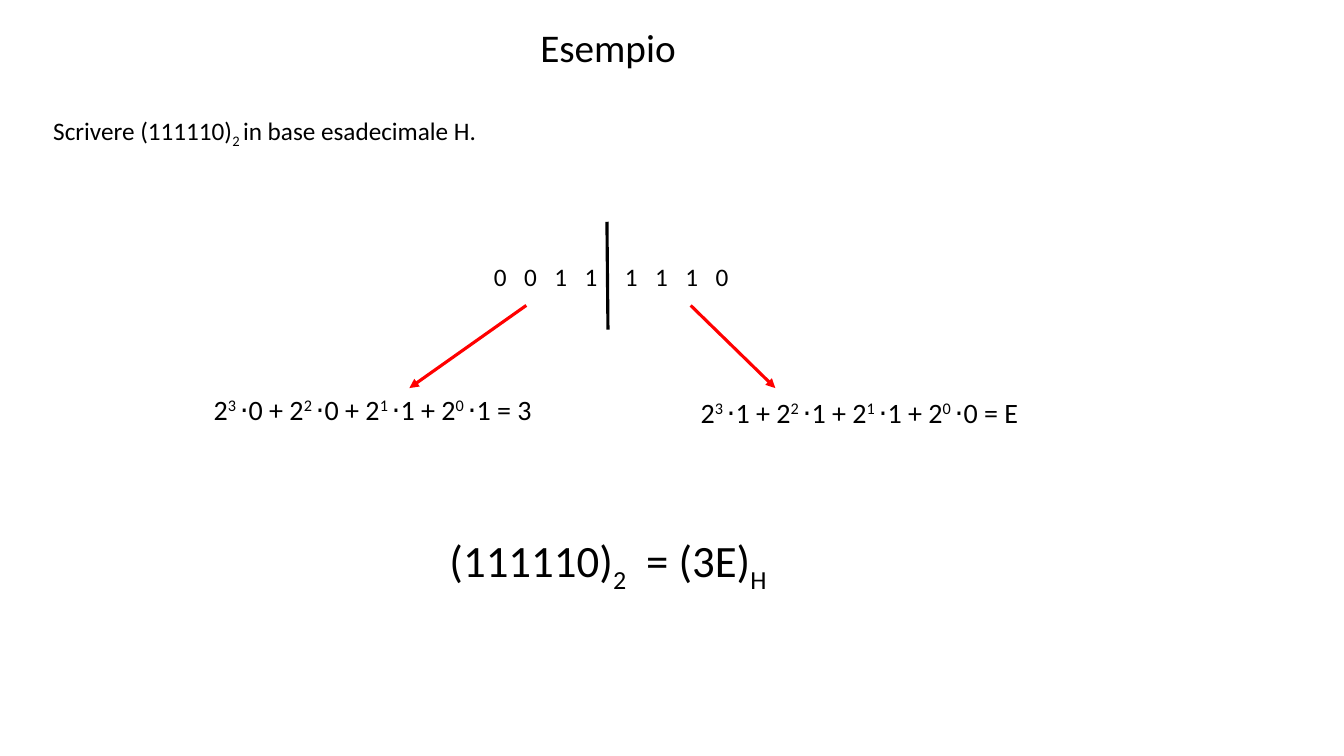
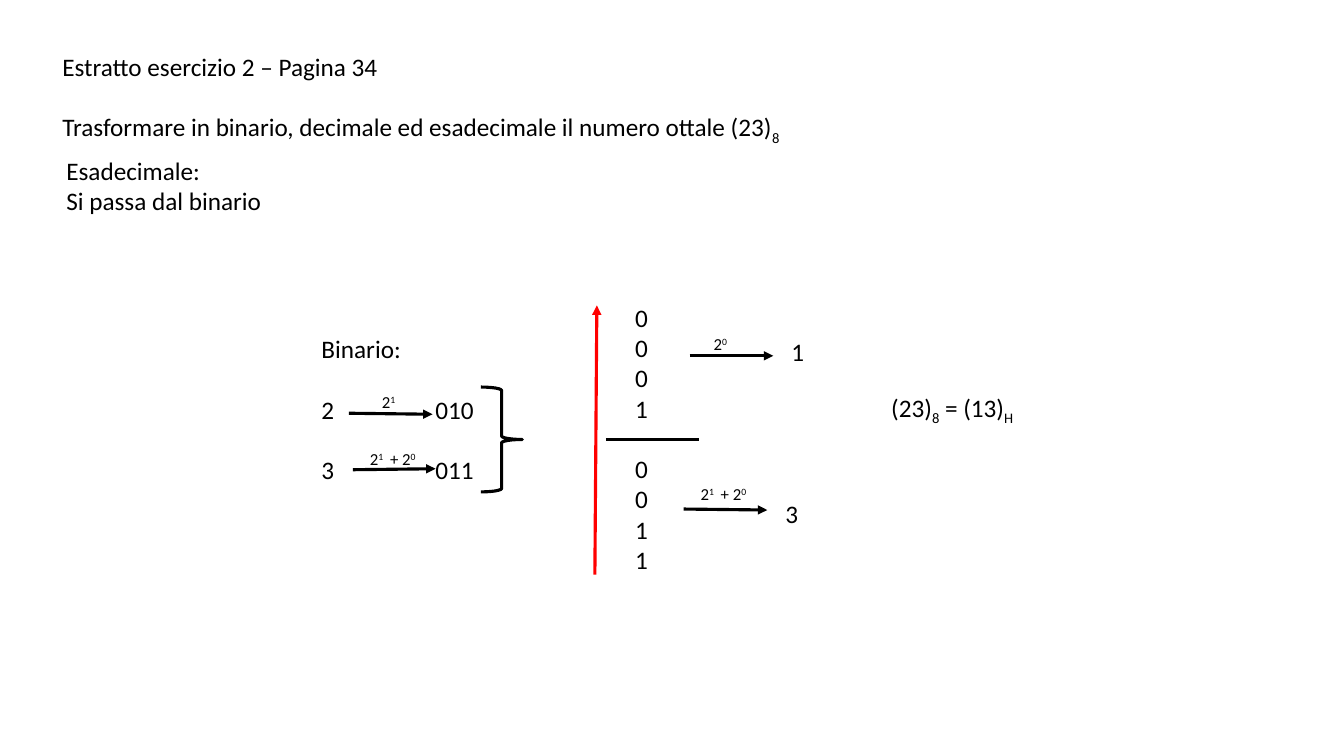
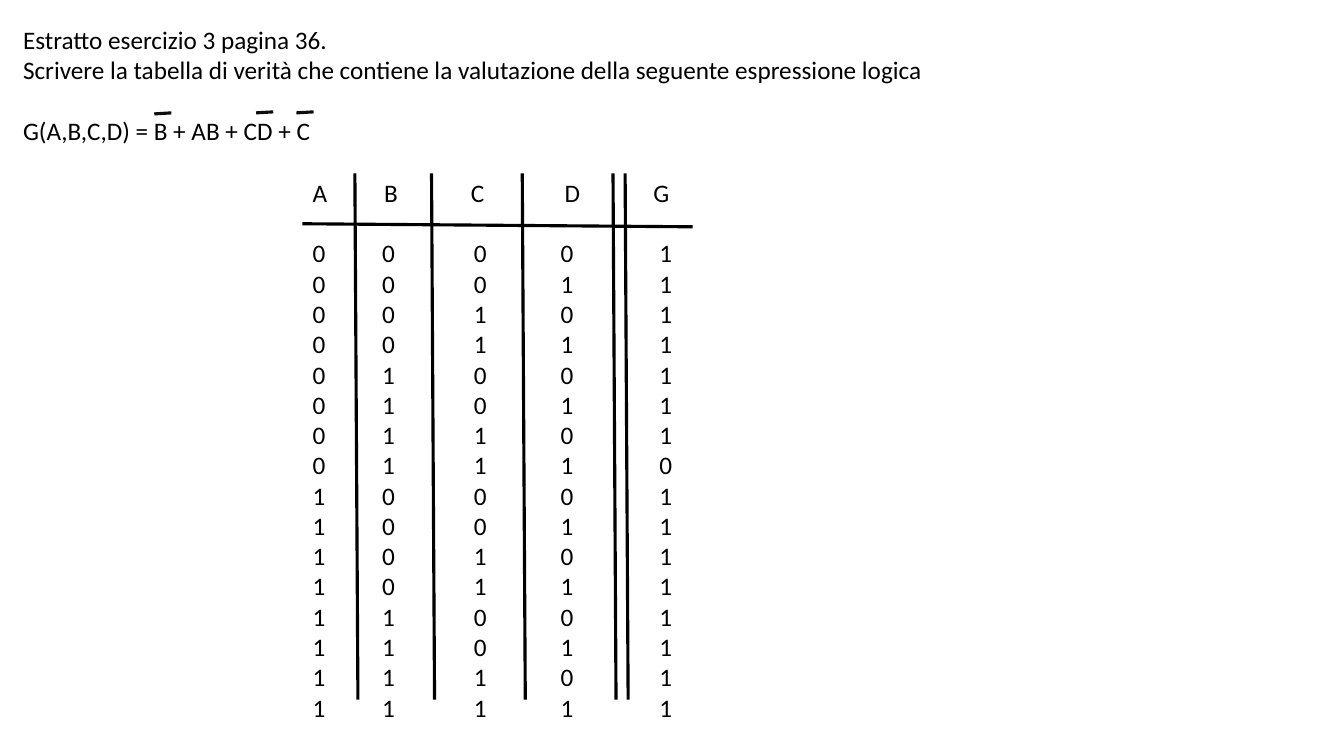
from dataclasses import dataclass
from itertools import product
from lxml.etree import SubElement
from pptx import Presentation
from pptx.dml.color import RGBColor
from pptx.enum.shapes import MSO_CONNECTOR, MSO_SHAPE
from pptx.enum.text import MSO_ANCHOR, MSO_AUTO_SIZE
from pptx.oxml.ns import qn
from pptx.util import Inches, Pt


@dataclass(frozen=True)
class Theme:
    font: str = "Calibri"
    ink: str = "000000"
    red: str = "FF0000"
    bar: str = "0D0D0D"
    line: float = 2.25
    gap: float = 0.3
    title: int = 28
    body: int = 18
    sum: int = 20
    result: int = 32
    note: int = 12


T = Theme()
SHIFT = {"^": "30000", "_": "-25000"}


def powers(bits, digit):
    terms = [f"2|^{3 - i} |⋅{bit}" for i, bit in enumerate(bits)]
    return " + ".join(terms) + f" = {digit}"


SUM = "2|^1|\t+ 2|^0"

HEX = {
    "texts": [
        ((5.26, 0.18, 1.61, 0.57), "Esempio", T.title, ()),
        ((0.43, 1.09, 6.36, 0.4), "Scrivere (111110)|_2 |in base esadecimale H.", T.body, ()),
        ((4.8, 2.54, 6.02, 0.4), "\t".join("00111110"), T.body,
         [i * 0.3 + (0.1 if i > 3 else 0) for i in range(1, 8)]),
        ((6.85, 3.87, 3.67, 0.44), powers("1110", "E"), T.sum, ()),
        ((2.02, 3.84, 3.71, 0.44), powers("0011", "3"), T.sum, ()),
        ((4.36, 5.24, 3.66, 0.64), "(111110)|_2|\t= (3E)|_H", T.result, (1.95,)),
    ],
    "lines": [
        ((6.02, 2.2, 6.03, 3.27), T.ink, False),
        ((6.85, 3.03, 7.69, 3.85), T.red, True),
        ((5.22, 3.03, 4.06, 3.85), T.red, True),
    ],
}

OCTAL = {
    "texts": [
        ((0.52, 0.46, 12.3, 1.01),
         "Estratto esercizio 2 – Pagina 34\n\n"
         "Trasformare in binario, decimale ed esadecimale il numero ottale (23)|_8", T.body, ()),
        ((0.56, 1.49, 4.07, 0.71), "Esadecimale:\nSi passa dal binario", T.body, ()),
        ((3.09, 3.26, 7.69, 1.62), "Binario:\n\n2\t010\n\n3\t011", T.body, (1.13,)),
        ((3.57, 4.4, 0.8, 0.3), SUM, T.note, (0.2,)),
        ((3.69, 3.84, 0.8, 0.3), "2|^1", T.note, ()),
        ((6.2, 2.95, 1.28, 2.83), "\n\n".join("\n".join(b) for b in ("0001", "0011")), T.body, ()),
        ((6.98, 3.26, 0.8, 0.3), "2|^0", T.note, ()),
        ((6.85, 4.75, 0.8, 0.3), SUM, T.note, (0.2,)),
        ((7.75, 3.29, 0.62, 0.4), "1", T.body, ()),
        ((7.69, 4.89, 0.62, 0.4), "3", T.body, ()),
        ((8.74, 3.84, 1.65, 0.4), "(23)|_8| = (13)|_H", T.body, ()),
    ],
    "lines": [
        ((3.5, 4.66, 4.32, 4.65), T.ink, True),
        ((3.46, 4.1, 4.29, 4.11), T.ink, True),
        ((5.9, 5.7, 5.92, 3.03), T.red, True),
        ((6.01, 4.36, 6.93, 4.36), T.ink, False),
        ((6.84, 3.53, 7.67, 3.53), T.ink, True),
        ((6.78, 5.05, 7.61, 5.06), T.ink, True),
    ],
}
BRACE = (4.77, 3.84, 0.41, 1.04)

TRUTH = {
    "texts": [
        ((0.13, 0.19, 12.91, 1.31),
         "Estratto esercizio 3 pagina 36.\n"
         "Scrivere la tabella di verità che contiene la valutazione della seguente "
         "espressione logica\n\nG(A,B,C,D) = B + AB + CD + C", T.body, ()),
    ],
    "lines": [((x, y, x + 0.17, y - 0.01), T.bar, False)
              for x, y in ((2.54, 1.12), (2.94, 1.12), (1.53, 1.13))]
    + [((x, 1.72, x + 0.03, 6.94), T.ink, False) for x in (3.52, 4.28, 5.18, 6.08, 6.2)]
    + [((6.87, 2.25, 3, 2.22), T.ink, False)],
}
ROWS = [(a, b, c, d, int(not b or a and b or c and not d or not c))
        for a, b, c, d in product((0, 1), repeat=4)]
EDGES = (3, 3.53, 4.3, 5.2, 6.15, 6.87)
HEAD_IN = (0.1, 0.28, 0.37, 0.4, 0.33)
BIT_IN = (0.1, 0.26, 0.4, 0.36, 0.39)
TOP, HEAD, ROW = 1.77, 0.6, 0.3


def apply(item, form):
    for name, value in form.items():
        setattr(item, name, value)


def inches(nums):
    return [Inches(n) for n in nums]


def write(para, text, size):
    for part in text.split("|"):
        shift = SHIFT.get(part[0])
        run = para.add_run()
        run.text = part[1:] if shift else part
        apply(run.font, {"name": T.font, "size": Pt(size)})
        run.font.color.rgb = RGBColor.from_string(T.ink)
        if shift:
            run._r.get_or_add_rPr().set("baseline", shift)


def add_text(slide, box, text, size, tabs):
    frame = slide.shapes.add_textbox(*inches(box)).text_frame
    apply(frame, {"word_wrap": True, "auto_size": MSO_AUTO_SIZE.SHAPE_TO_FIT_TEXT})
    para = None
    for block in text.split("\n\n"):
        for i, row in enumerate(block.split("\n")):
            first = para is None
            para = frame.paragraphs[0] if first else frame.add_paragraph()
            if i == 0 and not first:
                para.space_before = Inches(T.gap)
            if tabs:
                stops = SubElement(para._p.get_or_add_pPr(), qn("a:tabLst"))
                for stop in tabs:
                    SubElement(stops, qn("a:tab"), pos=str(Inches(stop)), algn="l")
            write(para, row, size)


def stroke(shape, color):
    shape.line.color.rgb = RGBColor.from_string(color)
    shape.line.width = Pt(T.line)


def add_line(slide, ends, color, arrow):
    line = slide.shapes.add_connector(MSO_CONNECTOR.STRAIGHT, *inches(ends))
    stroke(line, color)
    if arrow:
        SubElement(line.line._get_or_add_ln(), qn("a:tailEnd"), type="triangle")
    SubElement(line._element.spPr, qn("a:effectLst"))


def add_brace(slide):
    brace = slide.shapes.add_shape(MSO_SHAPE.RIGHT_BRACE, *inches(BRACE))
    brace.shadow.inherit = False
    brace.fill.background()
    stroke(brace, T.ink)


def add_truth(slide):
    size = (EDGES[-1] - EDGES[0], HEAD + ROW * len(ROWS))
    table = slide.shapes.add_table(len(ROWS) + 1, 5, *inches((EDGES[0], TOP, *size))).table
    apply(table, {"first_row": False, "horz_banding": False})
    for col, left, right in zip(table.columns, EDGES, EDGES[1:]):
        col.width = Inches(right - left)
    for r, row in enumerate(["ABCDG", *ROWS]):
        table.rows[r].height = Inches(ROW if r else HEAD)
        for c, value in enumerate(row):
            cell = table.cell(r, c)
            inset = (BIT_IN if r else HEAD_IN)[c]
            apply(cell, {"margin_left": Inches(inset), "margin_right": 0, "margin_top": 0,
                         "margin_bottom": 0, "vertical_anchor": MSO_ANCHOR.TOP})
            cell.fill.background()
            write(cell.text_frame.paragraphs[0], str(value), T.body)


def main():
    deck = Presentation()
    apply(deck, {"slide_width": Inches(13.33), "slide_height": Inches(7.5)})
    for page, extra in ((HEX, None), (OCTAL, add_brace), (TRUTH, add_truth)):
        slide = deck.slides.add_slide(deck.slide_layouts[6])
        for item in page["texts"]:
            add_text(slide, *item)
        if extra:
            extra(slide)
        for item in page["lines"]:
            add_line(slide, *item)
    deck.save("out.pptx")


if __name__ == "__main__":
    main()
